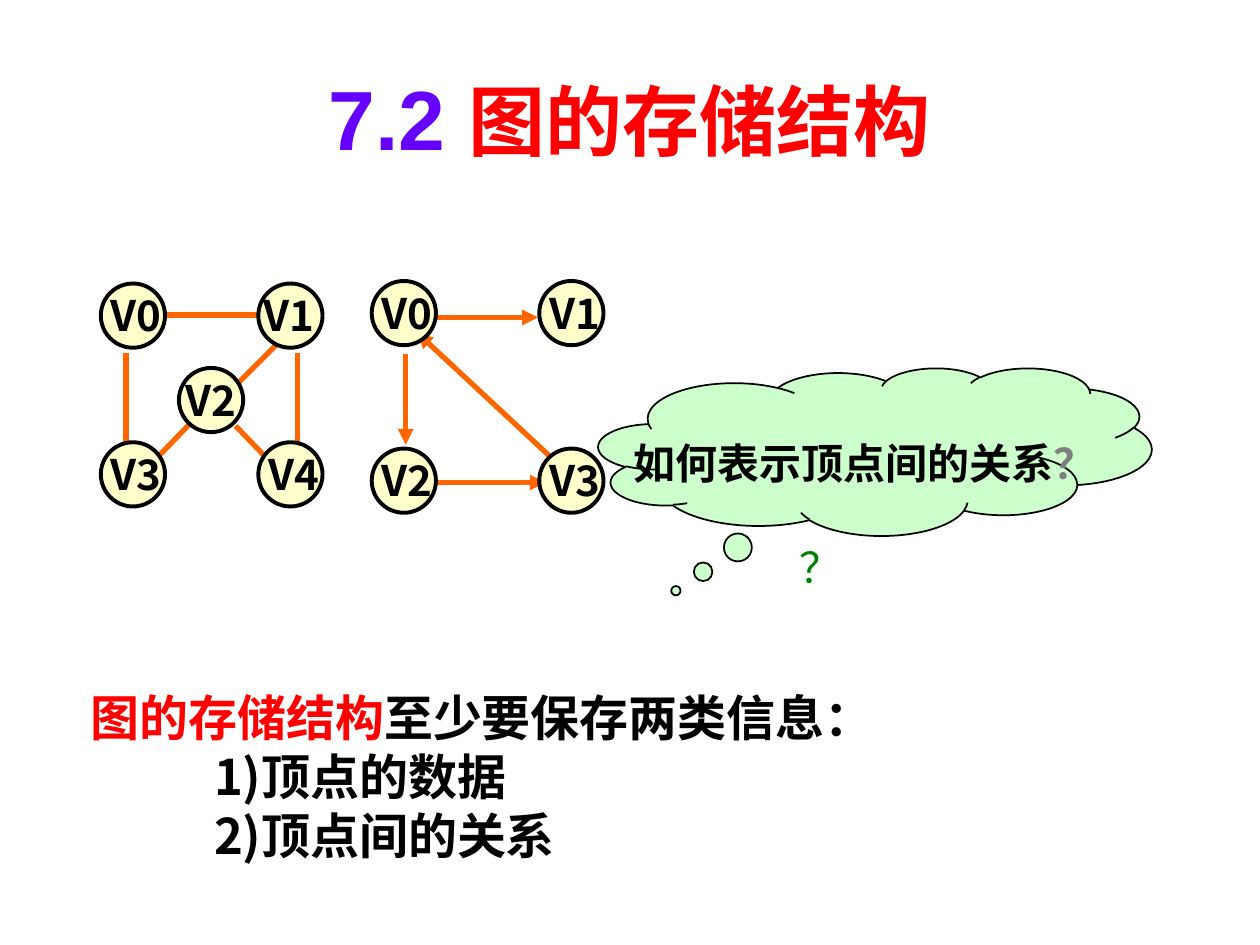
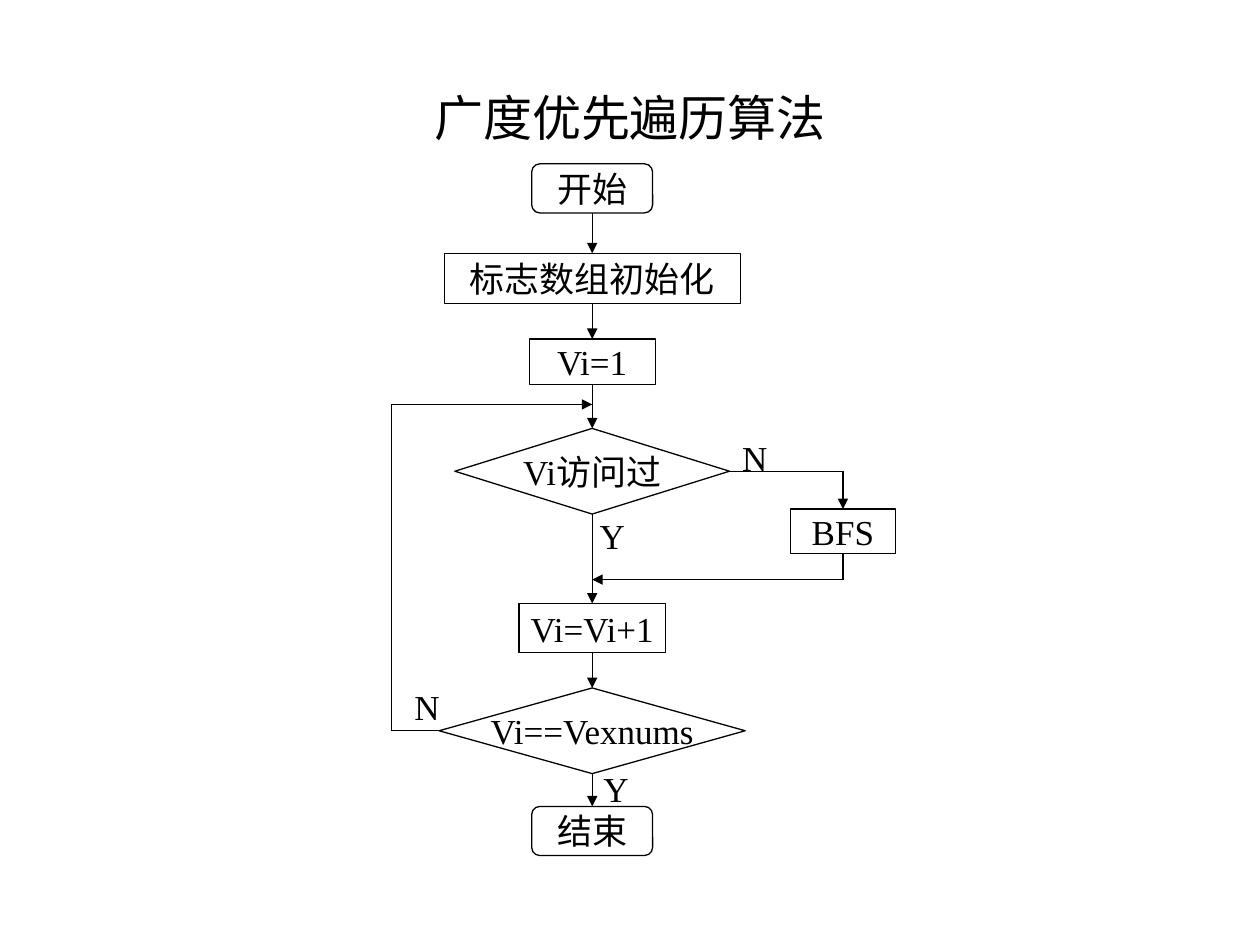
from lxml.etree import SubElement
from pptx import Presentation
from pptx.dml.color import RGBColor
from pptx.enum.shapes import MSO_CONNECTOR as Link, MSO_SHAPE as Form
from pptx.enum.text import MSO_ANCHOR as Anchor, MSO_AUTO_SIZE as Fit, PP_ALIGN as Align
from pptx.oxml.ns import qn
from pptx.util import Inches, Pt

CJK, SANS, SERIF = "Noto Sans CJK SC", "Arial", "Times New Roman"
BLACK, RED, ORANGE, CREAM, MINT = "000000", "FF0000", "FF6600", "FFFFCC", "CCFFCC"
MID = {"align": Align.CENTER, "anchor": Anchor.MIDDLE}
TOP, LEFT, BOTTOM, RIGHT = range(4)


def paint(value):
    return RGBColor.from_string(value)


def fmt(size, name, color=BLACK, bold=False):
    return {"size": Pt(size), "name": name, "bold": bold, "color": color}


class Deck:
    flow = fmt(20, SERIF)
    node = fmt(24, CJK, bold=True)

    def __init__(self):
        self.prs = Presentation()
        self.prs.slide_width, self.prs.slide_height = Inches(10), Inches(7.5)

    def start(self, *runs):
        """Add a title-only slide with a title made of runs."""
        self.slide = self.prs.slides.add_slide(self.prs.slide_layouts[5])
        title = self.slide.shapes.title
        title.left, title.top, title.width, title.height = map(Inches, (0.5, 0.3, 9, 1.25))
        title.text_frame.auto_size = Fit.NONE
        self.label(title, [runs], wrap=True, **MID)

    def label(self, shape, paras, wrap=False, align=Align.LEFT, anchor=Anchor.TOP, indent=0):
        """Fill a shape with paragraphs, each a list of (text, format); indent all but the first."""
        frame = shape.text_frame
        frame.word_wrap, frame.vertical_anchor = wrap, anchor
        for i, runs in enumerate(paras):
            para = frame.add_paragraph() if i else frame.paragraphs[0]
            para.alignment = align
            if i and indent:
                para._p.get_or_add_pPr().set("marL", str(Inches(indent)))
            for text, look in runs:
                run = para.add_run()
                run.text = text
                for key, value in look.items():
                    if key == "color":
                        run.font.color.rgb = paint(value)
                    else:
                        setattr(run.font, key, value)
                SubElement(run._r.get_or_add_rPr(), qn("a:ea"), typeface=CJK)

    def text(self, box, *paras, **opts):
        shape = self.slide.shapes.add_textbox(*map(Inches, box))
        self.label(shape, paras, **opts)
        return shape

    def shape(self, form, box, fill=None, width=0.75):
        shape = self.slide.shapes.add_shape(form, *map(Inches, box))
        shape.shadow.inherit = False
        if fill:
            shape.fill.solid()
            shape.fill.fore_color.rgb = paint(fill)
        else:
            shape.fill.background()
        shape.line.color.rgb = paint(BLACK)
        shape.line.width = Pt(width)
        return shape

    def line(self, start, end, color=BLACK, width=0.75, arrow=False):
        """Draw a line; an end is a point or a (shape, side) pair to join."""
        joins = [hasattr(spot[0], "shape_id") for spot in (start, end)]
        points = [(0, 0) if join else spot for join, spot in zip(joins, (start, end))]
        link = self.slide.shapes.add_connector(
            Link.STRAIGHT, *(Inches(v) for point in points for v in point))
        if joins[0]:
            link.begin_connect(*start)
        if joins[1]:
            link.end_connect(*end)
        link.line.color.rgb = paint(color)
        link.line.width = Pt(width)
        props = link._element.spPr
        if arrow:
            SubElement(props.find(qn("a:ln")), qn("a:tailEnd"), type="triangle")
        SubElement(props, qn("a:effectLst"))

    def graph(self, edges, nodes, arrow=False):
        for x1, y1, x2, y2 in edges:
            self.line((x1, y1), (x2, y2), ORANGE, 3, arrow)
        for name, x, y, shift in nodes:
            self.shape(Form.OVAL, (x, y, 0.51, 0.51), CREAM, 2.25)
            tag = self.text((x + shift, y, 0.71, 0.5), [(name, self.node)], wrap=True)
            tag.text_frame.margin_left = Inches(0.13)

    def step(self, form, text, mid, top, width, height):
        """Add a flow chart step centred on mid."""
        shape = self.shape(form, (mid - width / 2, top, width, height))
        self.label(shape, [[(text, self.flow)]], **MID)
        return shape


def storage(deck):
    deck.start(("7.2 ", fmt(48, SANS, "6600FF", True)), ("图的存储结构", fmt(44, SANS, RED, True)))
    body = fmt(28, CJK, bold=True)
    deck.text((0.62, 5.41, 8.98, 1.5),
              [("图的存储结构", {**body, "color": RED}), ("至少要保存两类信息：", body)],
              [("1)顶点的数据", body)], [("2)顶点间的关系", body)],
              wrap=True, indent=0.98)

    cloud = deck.shape(Form.CLOUD_CALLOUT, (4.75, 2.92, 4.39, 1.33), MINT, 1)
    cloud.adjustments[0], cloud.adjustments[1] = -0.36, 0.83
    cloud.text_frame.margin_left, cloud.text_frame.margin_top = Inches(0.25), Inches(0.28)
    deck.label(cloud, [[("如何表示顶点间的关系", deck.node),
                        ("？", {**deck.node, "color": "808080"})]], **MID)
    deck.text((6.25, 4.25, 0.67, 0.75), [("？", fmt(24, CJK, "008000"))])

    deck.graph([(1, 2.8, 1, 3.52), (1.3, 2.5, 2.12, 2.5), (2.36, 2.8, 2.36, 3.52),
                (1.53, 3.34, 1.24, 3.64), (2.19, 2.74, 1.89, 3.04), (1.87, 3.38, 2.12, 3.64)],
               [("V0", 0.8, 2.25, -0.05), ("V4", 2.05, 3.51, -0.05), ("V3", 0.8, 3.51, -0.05),
                ("V1", 2.05, 2.25, -0.09), ("V2", 1.42, 2.92, -0.08)])
    cols, rows = (2.95, 4.28), (2.23, 3.56)
    spots = [(x, y) for y in rows for x in cols]
    deck.graph([(3.22, 2.81, 3.22, 3.53), (3.45, 3.83, 4.33, 3.83),
                (3.45, 2.52, 4.27, 2.52), (4.48, 3.73, 3.31, 2.64)],
               [(f"V{i}", x, y, -0.05) for i, (x, y) in enumerate(spots)], arrow=True)


def search(deck):
    deck.start(("广度优先遍历算法", fmt(28, SANS)))
    main, side, back = 4.7, 6.69, 3.11
    box, test, cap = Form.FLOWCHART_PROCESS, Form.FLOWCHART_DECISION, Form.FLOWCHART_ALTERNATE_PROCESS
    steps = [deck.step(form, text, main, *size) for form, text, *size in (
        (cap, "开始", 1.3, 0.96, 0.39),
        (box, "标志数组初始化", 2.01, 2.35, 0.4),
        (box, "Vi=1", 2.69, 1, 0.36),
        (test, "Vi访问过", 3.4, 2.18, 0.68),
        (box, "Vi=Vi+1", 4.79, 1.16, 0.39),
        (test, "Vi==Vexnums", 5.46, 2.43, 0.68),
        (cap, "结束", 6.4, 0.96, 0.39))]
    visit = deck.step(box, "BFS", side, 4.04, 0.83, 0.35)
    for above, below in zip(steps, steps[1:]):
        deck.line((above, BOTTOM), (below, TOP), arrow=True)

    seen, last = steps[3], steps[5]
    deck.line((seen, RIGHT), (side, 3.74))
    deck.line((side, 3.74), (visit, TOP), arrow=True)
    deck.line((visit, BOTTOM), (side, 4.6))
    deck.line((side, 4.6), (main, 4.6), arrow=True)
    deck.line((last, LEFT), (back, 5.8))
    deck.line((back, 5.8), (back, 3.21))
    deck.line((back, 3.21), (main, 3.21), arrow=True)
    for mark, x, y in (("N", 5.79, 3.41), ("N", 3.19, 5.39), ("Y", 4.66, 4.03), ("Y", 4.69, 6.04)):
        deck.text((x, y, 0.4, 0.44), [(mark, deck.flow)], **MID)


def main():
    deck = Deck()
    storage(deck)
    search(deck)
    deck.prs.save("out.pptx")


if __name__ == "__main__":
    main()
